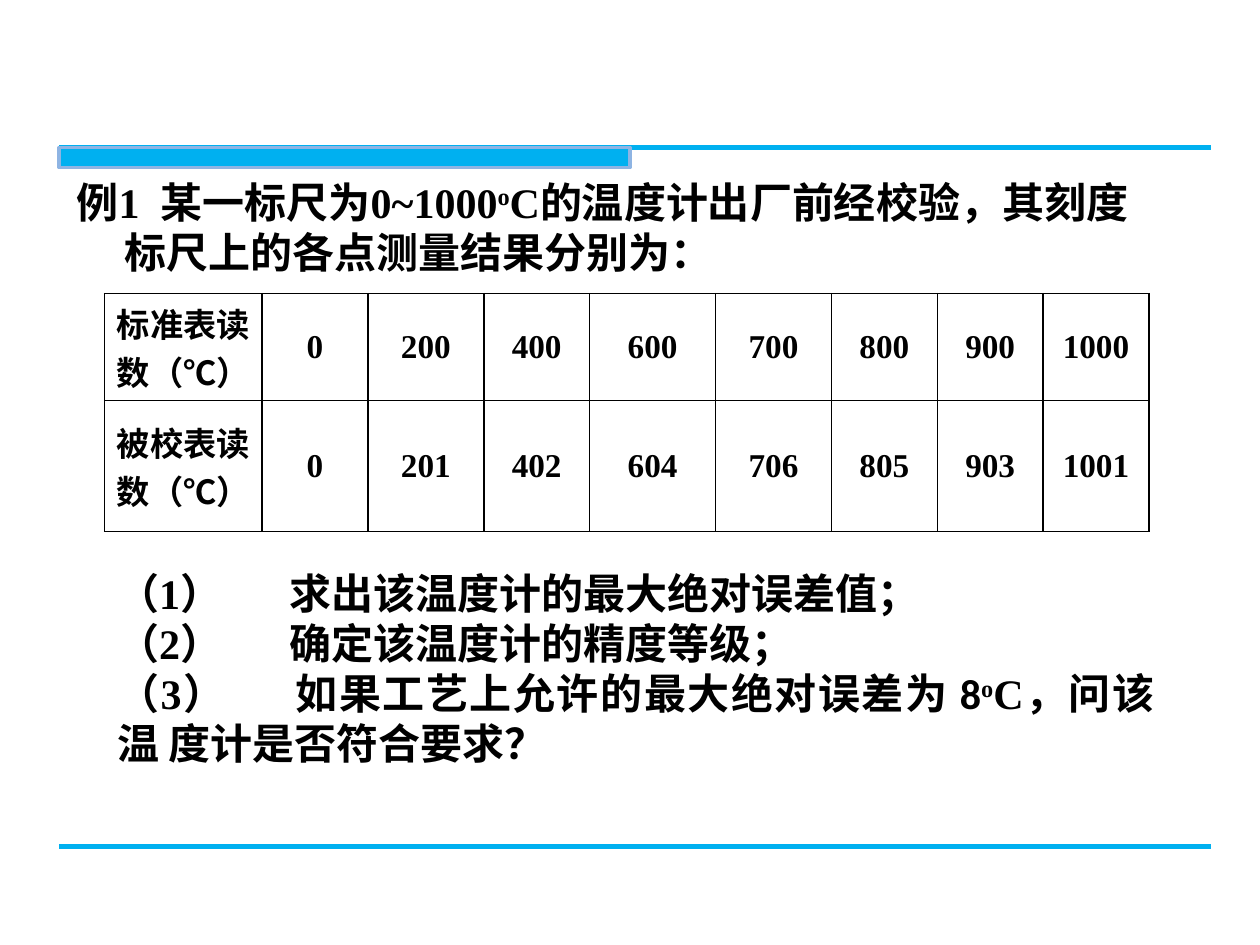
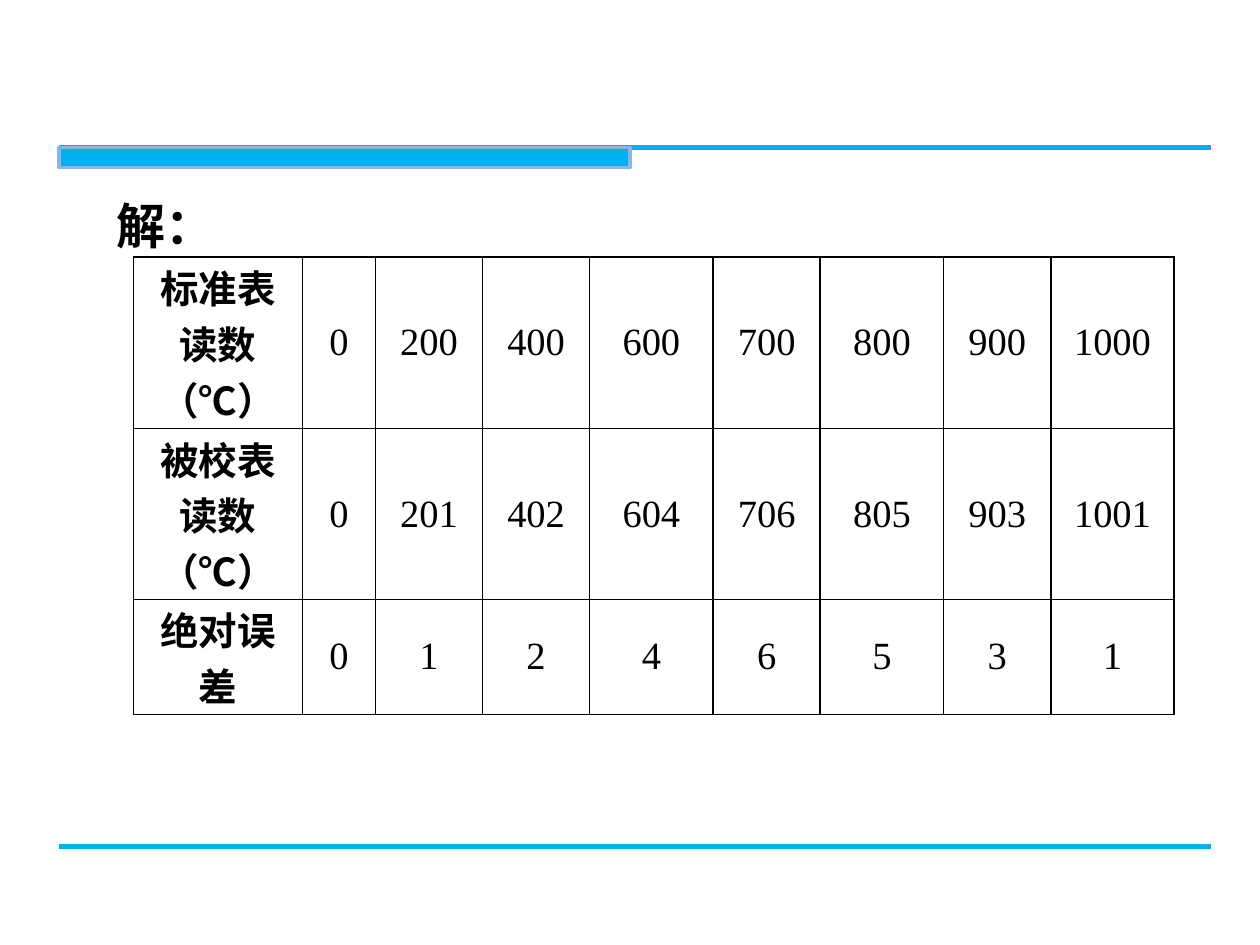
"""Build two slides on the calibration of a thermometer."""
from lxml import etree
from pptx import Presentation
from pptx.dml.color import RGBColor
from pptx.enum.shapes import MSO_CONNECTOR, MSO_SHAPE
from pptx.enum.text import MSO_ANCHOR, PP_ALIGN
from pptx.oxml.ns import qn
from pptx.util import Inches, Pt

STRAIGHT = MSO_CONNECTOR.STRAIGHT
RECTANGLE = MSO_SHAPE.RECTANGLE
MIDDLE = MSO_ANCHOR.MIDDLE
CENTER, JUSTIFY, LEFT = PP_ALIGN.CENTER, PP_ALIGN.JUSTIFY, PP_ALIGN.LEFT

BLACK = RGBColor(0x00, 0x00, 0x00)
SKY = RGBColor(0x00, 0xB0, 0xF0)
PALE_BLUE = RGBColor(0x8E, 0xB4, 0xE3)

SERIF, SANS = "Times New Roman", "Calibri"
LINE_HEIGHT = 1.19
SUPERSCRIPT = {"baseline": "30000"}
WIDE_SPACE = {"spc": "600"}

STANDARD = [0, 200, 400, 600, 700, 800, 900, 1000]
TESTED = [0, 201, 402, 604, 706, 805, 903, 1001]
ERRORS = [tested - standard for standard, tested in zip(STANDARD, TESTED)]
READINGS = [["标准表读数（℃）", *STANDARD], ["被校表读数（℃）", *TESTED]]


class Deck:
    """Hold the shared style and the current slide."""

    def __init__(self):
        self.presentation = Presentation()
        self.presentation.slide_width = Inches(10)
        self.presentation.slide_height = Inches(7.5)
        self.slide = None

    def add_slide(self):
        layout = self.presentation.slide_layouts[6]
        self.slide = self.presentation.slides.add_slide(layout)
        self.rule(1.17)
        self.band()
        self.rule(6.72)

    def rule(self, top):
        connector = self.slide.shapes.add_connector(
            STRAIGHT, Inches(0.47), Inches(top), Inches(9.61), Inches(top))
        connector.line.color.rgb = SKY
        connector.line.width = Pt(3)
        etree.SubElement(connector._element.spPr, qn("a:effectLst"))

    def band(self):
        shape = self.slide.shapes.add_shape(
            RECTANGLE, Inches(0.47), Inches(1.17), Inches(4.53), Inches(0.16))
        shape.shadow.inherit = False
        shape.fill.solid()
        shape.fill.fore_color.rgb = SKY
        shape.line.color.rgb = PALE_BLUE
        shape.line.width = Pt(2)

    def style(self, run, size, font=SERIF, bold=True):
        run.font.name = font
        run.font.size = Pt(size)
        run.font.bold = bold
        run.font.color.rgb = BLACK

    def text(self, box, paragraphs, size=24, insets=(0.1, 0.09),
             alignment=LEFT, hanging=0, tab=None):
        shape = self.slide.shapes.add_textbox(*map(Inches, box))
        frame = shape.text_frame
        frame.word_wrap = True
        frame.margin_left = frame.margin_right = Inches(insets[0])
        frame.margin_top = Inches(insets[1])
        frame.margin_bottom = Inches(0.01)
        for index, runs in enumerate(paragraphs):
            paragraph = frame.add_paragraph() if index else frame.paragraphs[0]
            properties = paragraph._p.get_or_add_pPr()
            if hanging:
                properties.set("marL", str(Inches(hanging)))
                properties.set("indent", str(-Inches(hanging)))
            if tab:
                tabs = etree.SubElement(properties, qn("a:tabLst"))
                etree.SubElement(tabs, qn("a:tab"), pos=str(Inches(tab)), algn="l")
            paragraph.alignment = alignment
            paragraph.line_spacing = Pt(round(size * LINE_HEIGHT, 1))
            for content, font, attributes in runs:
                run = paragraph.add_run()
                run.text = content
                self.style(run, size, font)
                for name, value in attributes.items():
                    run._r.get_or_add_rPr().set(name, value)

    def border(self, cell):
        properties = cell._tc.get_or_add_tcPr()
        for side in ("L", "R", "T", "B"):
            line = etree.SubElement(properties, qn(f"a:ln{side}"), w=str(Pt(1)))
            fill = etree.SubElement(line, qn("a:solidFill"))
            etree.SubElement(fill, qn("a:srgbClr"), val=str(BLACK))

    def table(self, left, top, widths, heights, rows, size, bold_values):
        frame = self.slide.shapes.add_table(
            len(rows), len(widths), Inches(left), Inches(top),
            Inches(sum(widths)), Inches(sum(heights)))
        table = frame.table
        table.first_row = table.horz_banding = False
        for column, width in zip(table.columns, widths):
            column.width = Inches(width)
        for row, height, values in zip(table.rows, heights, rows):
            row.height = Inches(height)
            for index, (cell, value) in enumerate(zip(row.cells, values)):
                cell.margin_left = cell.margin_right = Inches(0.07)
                cell.margin_top = cell.margin_bottom = 0
                cell.vertical_anchor = MIDDLE
                self.border(cell)
                cell.fill.background()
                paragraph = cell.text_frame.paragraphs[0]
                paragraph.text = str(value)
                paragraph.alignment = CENTER
                self.style(paragraph.runs[0], size, bold=bold_values or index == 0)


def add_problem(deck):
    """Add the slide with the readings and the three questions."""
    deck.add_slide()
    deck.text((0.51, 1.31, 8.82, 1.1), [[
        ("例1", SERIF, {}),
        (" ", SERIF, WIDE_SPACE),
        ("某一标尺为0~1000", SERIF, {}),
        ("o", SERIF, SUPERSCRIPT),
        ("C的温度计出厂前经校验，其刻度标尺上的各点测量结果分别为：", SERIF, {}),
    ]], hanging=0.38)
    deck.table(0.83, 2.33, [1.25, 0.84, 0.92, 0.84, 1, 0.92, 0.84, 0.84, 0.84],
               [0.85, 1.04], READINGS, 19, bold_values=True)
    deck.text((0.91, 4.46, 8.27, 1.64), [
        [("（1）\t求出该温度计的最大绝对误差值；", SERIF, {})],
        [("（2）\t确定该温度计的精度等级；", SERIF, {})],
        [("（3）\t", SERIF, {}),
         ("如果工艺上允许的最大绝对误差为 8", SANS, {}),
         ("o", SERIF, SUPERSCRIPT),
         ("C", SERIF, {}),
         ("，问该温 度计是否符合要求？", SANS, {})],
    ], insets=(0.02, 0.05), alignment=JUSTIFY, tab=1.37)


def add_solution(deck):
    """Add the slide with the absolute errors."""
    deck.add_slide()
    deck.table(1.06, 2.04, [1.34, 0.58, 0.85, 0.85, 0.98, 0.85, 0.98, 0.85, 0.98],
               [1.36, 1.36, 0.91], READINGS + [["绝对误差", *ERRORS]], 22,
               bold_values=False)
    deck.text((0.83, 1.47, 1.42, 0.57), [[("解：", SANS, {})]], size=28)


def main():
    """Build and save the presentation."""
    deck = Deck()
    add_problem(deck)
    add_solution(deck)
    deck.presentation.save("out.pptx")


if __name__ == "__main__":
    main()
